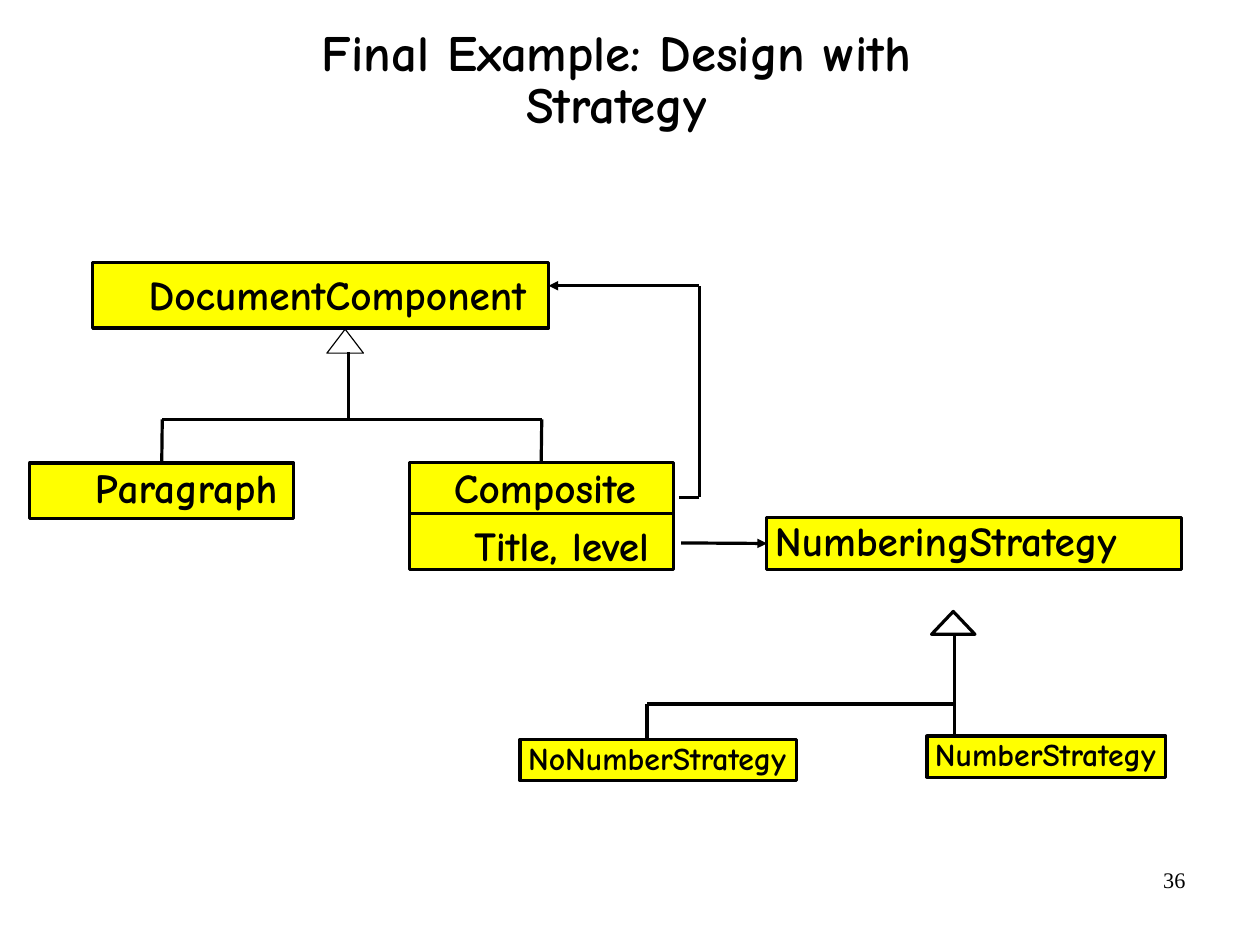
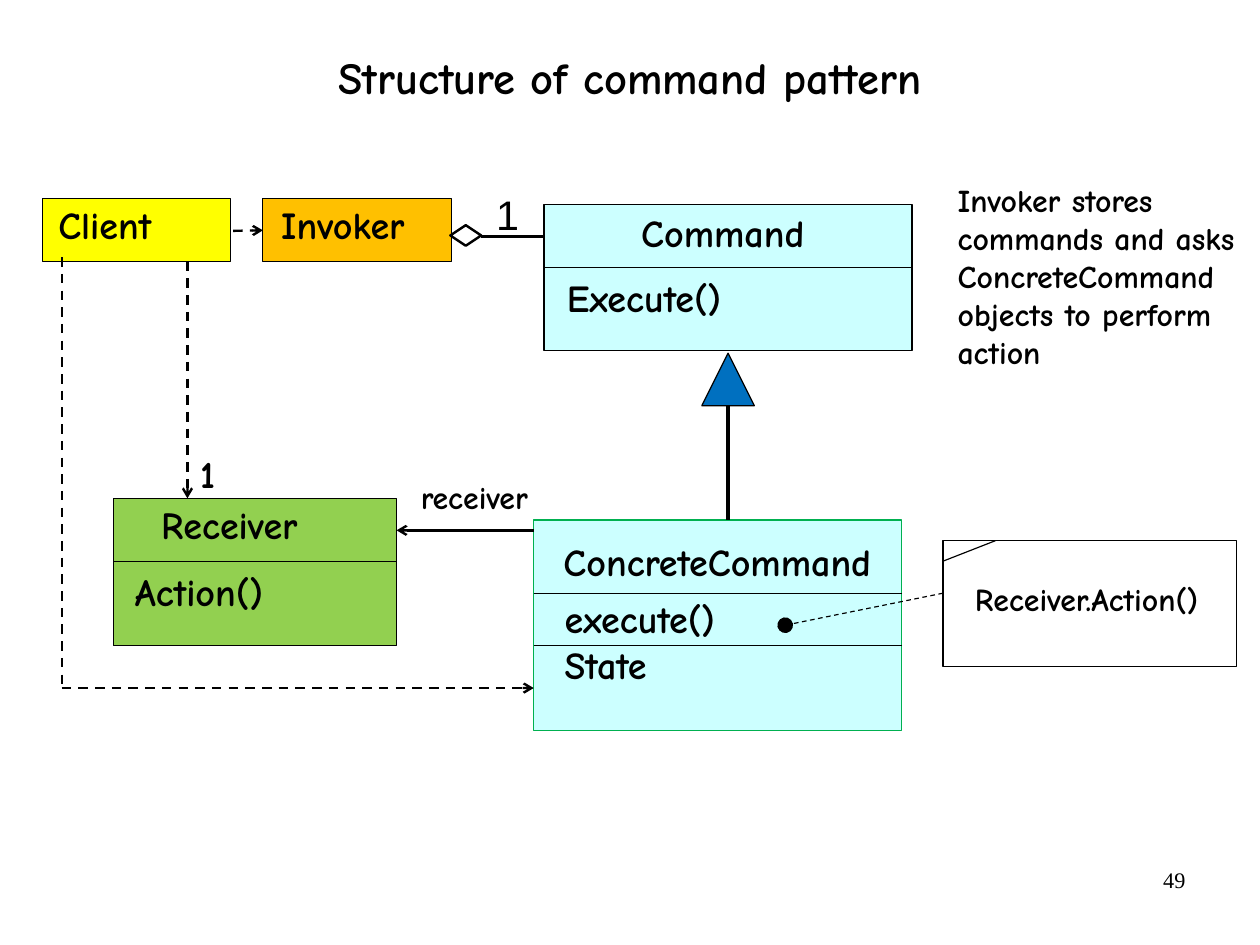
from itertools import pairwise

from lxml import etree
from pptx import Presentation
from pptx import util as u
from pptx.dml.color import RGBColor
from pptx.enum import dml, shapes, text
from pptx.oxml import ns

FONT = "Comic Neue"
BLACK, YELLOW, ORANGE = "000000", "FFFF00", "FFC000"
CYAN, GREEN, BLUE = "CCFFFF", "92D050", "0070C0"
DARK_GREEN = "00B050"
RECTANGLE = shapes.MSO_SHAPE.RECTANGLE
TRIANGLE = shapes.MSO_SHAPE.ISOSCELES_TRIANGLE
DIAMOND = shapes.MSO_SHAPE.DIAMOND
TITLE_LAYOUT = 5


def color(value):
    """Turn a hex string into a colour."""
    return RGBColor.from_string(value)


def inches(values):
    """Turn a row of numbers into lengths."""
    return [u.Inches(value) for value in values]


def apply(target, values):
    """Set attributes from a dict of format values."""
    for name, value in values.items():
        setattr(target, name, value)


def write(shape, content, size, insets, spacing=1.0, align=text.PP_ALIGN.LEFT,
          anchor=text.MSO_ANCHOR.TOP, font=FONT, bold=True):
    """Fill a shape with formatted text, one paragraph a line."""
    frame = shape.text_frame
    frame.text = content
    left, top, right, bottom = inches(insets)
    apply(frame, {"margin_left": left, "margin_top": top,
                  "margin_right": right, "margin_bottom": bottom,
                  "word_wrap": True, "vertical_anchor": anchor,
                  "auto_size": text.MSO_AUTO_SIZE.NONE})
    for paragraph in frame.paragraphs:
        apply(paragraph, {"alignment": align, "line_spacing": spacing})
        apply(paragraph.font, {"name": font, "size": u.Pt(size), "bold": bold})
        paragraph.font.color.rgb = color(BLACK)


def add_label(slide, at, content, size=24, insets=(0.11, 0.06, 0, 0), **values):
    """Add a text box."""
    box = slide.shapes.add_textbox(*inches(at))
    write(box, content, size, insets, **values)


def add_figure(slide, kind, at, fill=None, line=BLACK, width=0.75):
    """Add an outlined shape, filled or open."""
    shape = slide.shapes.add_shape(kind, *inches(at))
    shape.shadow.inherit = False
    if fill:
        shape.fill.solid()
        shape.fill.fore_color.rgb = color(fill)
    else:
        shape.fill.background()
    shape.line.color.rgb = color(line)
    shape.line.width = u.Pt(width)
    return shape


def add_box(slide, at, content, inset, fill=None, size=24, spacing=1.0,
            line=BLACK, width=0.75):
    """Add a class box whose name starts at the given inset."""
    box = add_figure(slide, RECTANGLE, at, fill, line, width)
    write(box, content, size, (*inset, 0, 0), spacing)
    return box


def add_route(slide, points, width, dash=False, tail=None, target=None):
    """Draw straight connectors through points, joined to a target's side."""
    for start, end in pairwise(points):
        connector = slide.shapes.add_connector(
            shapes.MSO_CONNECTOR.STRAIGHT, *inches((*start, *end)))
        connector.line.color.rgb = color(BLACK)
        connector.line.width = u.Pt(width)
        if dash:
            connector.line.dash_style = dml.MSO_LINE.DASH
        properties = connector._element.spPr
        etree.SubElement(properties, ns.qn("a:effectLst"))
    if tail:
        head_size = "lg" if tail == "oval" else "med"
        etree.SubElement(connector.line._get_or_add_ln(), ns.qn("a:tailEnd"),
                         type=tail, w=head_size, len=head_size)
    if target:
        connector.end_connect(*target)


def add_slide(presentation, title, at, size, spacing, number):
    """Add a slide with its title and page number."""
    slide = presentation.slides.add_slide(
        presentation.slide_layouts[TITLE_LAYOUT])
    placeholder = slide.shapes.title
    left, top, width, height = inches(at)
    apply(placeholder, {"left": left, "top": top,
                        "width": width, "height": height})
    write(placeholder, title, size, (0.11, 0.05, 0.11, 0.05), spacing,
          text.PP_ALIGN.CENTER, text.MSO_ANCHOR.MIDDLE)
    add_label(slide, (7.9, 7.53, 2.57, 0.57), number, 14,
              (0.1, 0.05, 0.1, 0.05), align=text.PP_ALIGN.RIGHT,
              font="Times New Roman", bold=False)
    return slide


def build_strategy(presentation):
    """Build the class diagram of the strategy design."""
    slide = add_slide(presentation, "Final Example: Design with Strategy",
                      (1.85, 0.42, 7.09, 0.59), 32, 0.85, "36")
    boxes = {}
    for name, at, inset, size, spacing in (
            ("DocumentComponent", (0.81, 2.3, 3.99, 0.57), (0.49, 0.12), 26, 0.85),
            ("Paragraph", (0.26, 4.05, 2.31, 0.49), (0.57, 0.06), 26, 0.85),
            ("Composite", (3.58, 4.05, 2.31, 0.93), (0.39, 0.06), 26, 0.85),
            ("NumberingStrategy", (6.71, 4.53, 3.63, 0.45), (0.07, 0.03), 26, 0.9),
            ("NumberStrategy", (8.11, 6.44, 2.09, 0.36), (0.07, 0.03), 20, 0.9),
            ("NoNumberStrategy", (4.55, 6.47, 2.42, 0.36), (0.07, 0.03), 20, 0.9)):
        boxes[name] = add_box(slide, at, name, inset, YELLOW, size, spacing,
                              width=2)
    add_label(slide, (4.08, 4.59, 1.75, 0.38), "Title, level", 26,
              (0.07, 0.03, 0, 0), spacing=0.85)
    add_figure(slide, TRIANGLE, (2.86, 2.88, 0.32, 0.21))
    add_figure(slide, TRIANGLE, (8.15, 5.35, 0.38, 0.2), width=2)
    for points, tail, target in (
            (((3.6, 4.49), (5.88, 4.49)), None, None),
            (((3.05, 3.08), (3.05, 3.67)), None, None),
            (((1.42, 3.67), (4.74, 3.67)), None, None),
            (((1.42, 3.67), (1.42, 4.05)), None, (boxes["Paragraph"], 0)),
            (((4.74, 3.67), (4.74, 4.05)), None, (boxes["Composite"], 0)),
            (((5.94, 4.35), (6.12, 4.35), (6.12, 2.5), (4.8, 2.5)),
             "triangle", None),
            (((5.96, 4.75), (6.71, 4.75)), "triangle",
             (boxes["NumberingStrategy"], 1)),
            (((8.35, 5.55), (8.35, 6.44)), None, None),
            (((8.35, 6.16), (5.66, 6.16), (5.66, 6.47)), None, None)):
        add_route(slide, points, 2, tail=tail, target=target)


def build_command(presentation):
    """Build the class diagram of the command pattern."""
    slide = add_slide(presentation, "Structure of command pattern",
                      (0.81, 0.02, 9.4, 1.37), 28, 0.88, "49")
    boxes = {}
    for name, at, inset, fill, line in (
            ("Client", (0.37, 1.74, 1.65, 0.55), (0.14, 0.02), YELLOW, BLACK),
            ("Invoker", (2.3, 1.74, 1.65, 0.55), (0.16, 0.02), ORANGE, BLACK),
            ("Command", (4.76, 1.79, 3.22, 1.28), (0.85, 0.04), CYAN, BLACK),
            ("Receiver", (0.99, 4.36, 2.48, 1.29), (0.42, 0.03), GREEN, BLACK),
            ("ConcreteCommand", (4.67, 4.55, 3.22, 1.84), (0.26, 0.16), CYAN,
             DARK_GREEN)):
        boxes[name] = add_box(slide, at, name, inset, fill, line=line)
    add_box(slide, (8.25, 4.73, 2.57, 1.1), "Receiver.Action()",
            (0.28, 0.34), size=20)
    add_figure(slide, TRIANGLE, (6.14, 3.09, 0.46, 0.46), BLUE)
    add_figure(slide, DIAMOND, (3.94, 1.97, 0.27, 0.18), width=1.5)
    for content, at in (("Execute()", (4.85, 2.34, 1.59, 0.51)),
                        ("execute()\nState", (4.83, 5.15, 1.55, 0.91)),
                        ("Action()", (1.07, 4.91, 1.34, 0.51)),
                        ("1", (1.64, 3.88, 0.35, 0.51))):
        add_label(slide, at, content)
    add_label(slide, (4.23, 1.6, 0.42, 0.54), "1", 26, font="Arial", bold=False)
    add_label(slide, (3.14, 4.12, 2.02, 0.46), "receiver", 20,
              (0.11, 0.06, 0.11, 0.06), align=text.PP_ALIGN.CENTER,
              anchor=text.MSO_ANCHOR.MIDDLE)
    add_label(slide, (8.28, 1.53, 2.76, 1.77),
              "Invoker stores commands and asks ConcreteCommand objects "
              "to perform action", 20, (0.1, 0.05, 0.1, 0.05))
    for left, right, top in ((4.76, 7.98, 2.34), (0.99, 3.47, 4.91),
                             (4.67, 7.89, 5.19), (4.67, 7.89, 5.65)):
        add_route(slide, ((left, top), (right, top)), 0.75)
    for points, width, dash, tail, target in (
            (((8.71, 4.73), (8.25, 4.91)), 0.75, False, None, None),
            (((8.25, 5.19), (6.87, 5.47)), 0.75, True, "oval", None),
            (((6.37, 3.55), (6.37, 4.55)), 2.25, False, None, None),
            (((4.76, 2.07), (4.21, 2.07)), 2.25, False, None, None),
            (((0.54, 2.25), (0.54, 6.02), (4.67, 6.02)), 1.5, True, "arrow", None),
            (((1.64, 2.29), (1.64, 4.36)), 1.5, True, "arrow", None),
            (((4.67, 4.64), (3.47, 4.64)), 1.5, False, "arrow", None),
            (((2.04, 2.02), (2.3, 2.02)), 1.5, True, "arrow",
             (boxes["Invoker"], 1))):
        add_route(slide, points, width, dash, tail, target)


def main():
    """Build and save the presentation."""
    presentation = Presentation()
    presentation.slide_width = u.Cm(28)
    presentation.slide_height = u.Cm(21)
    build_strategy(presentation)
    build_command(presentation)
    presentation.save("out.pptx")


if __name__ == "__main__":
    main()
